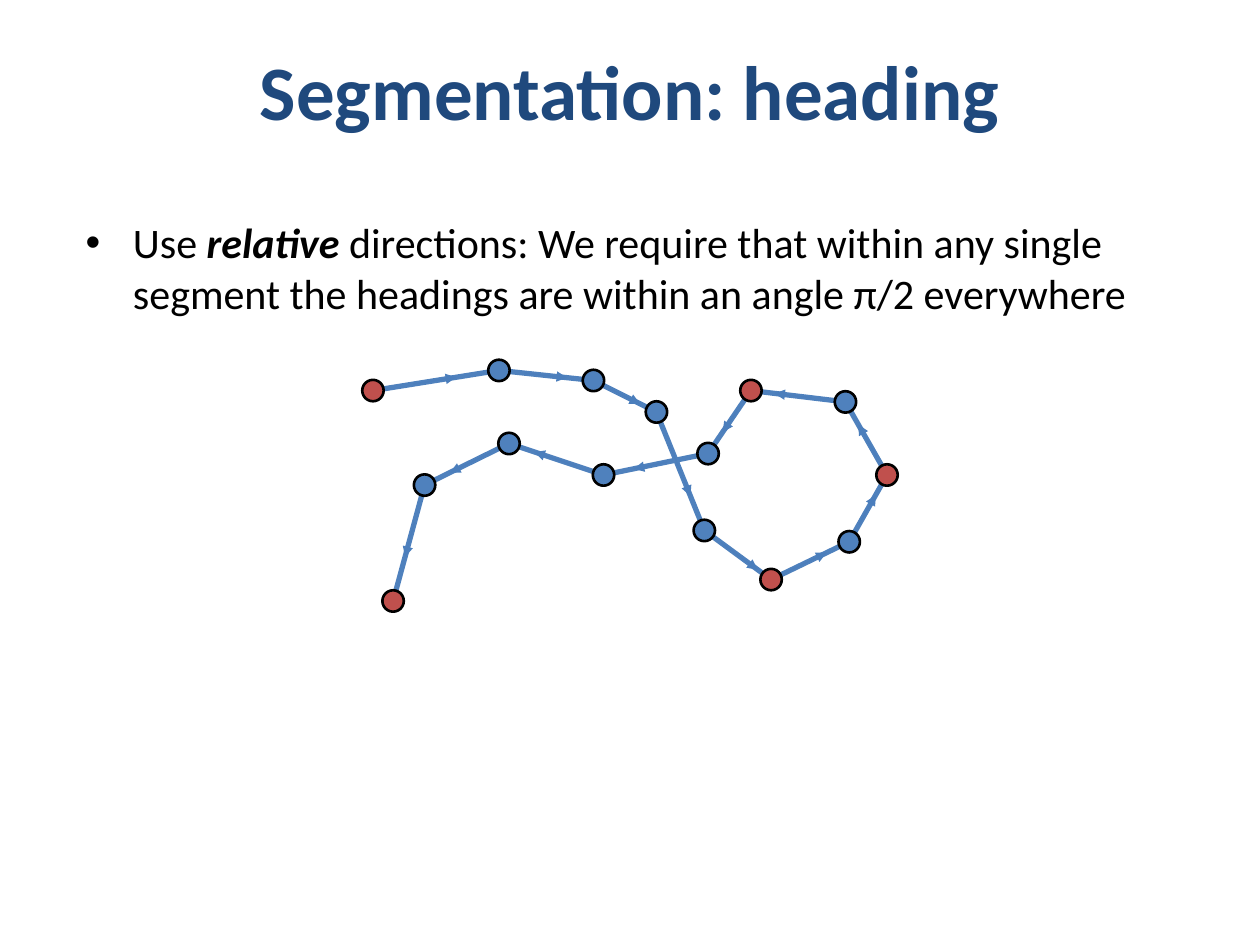
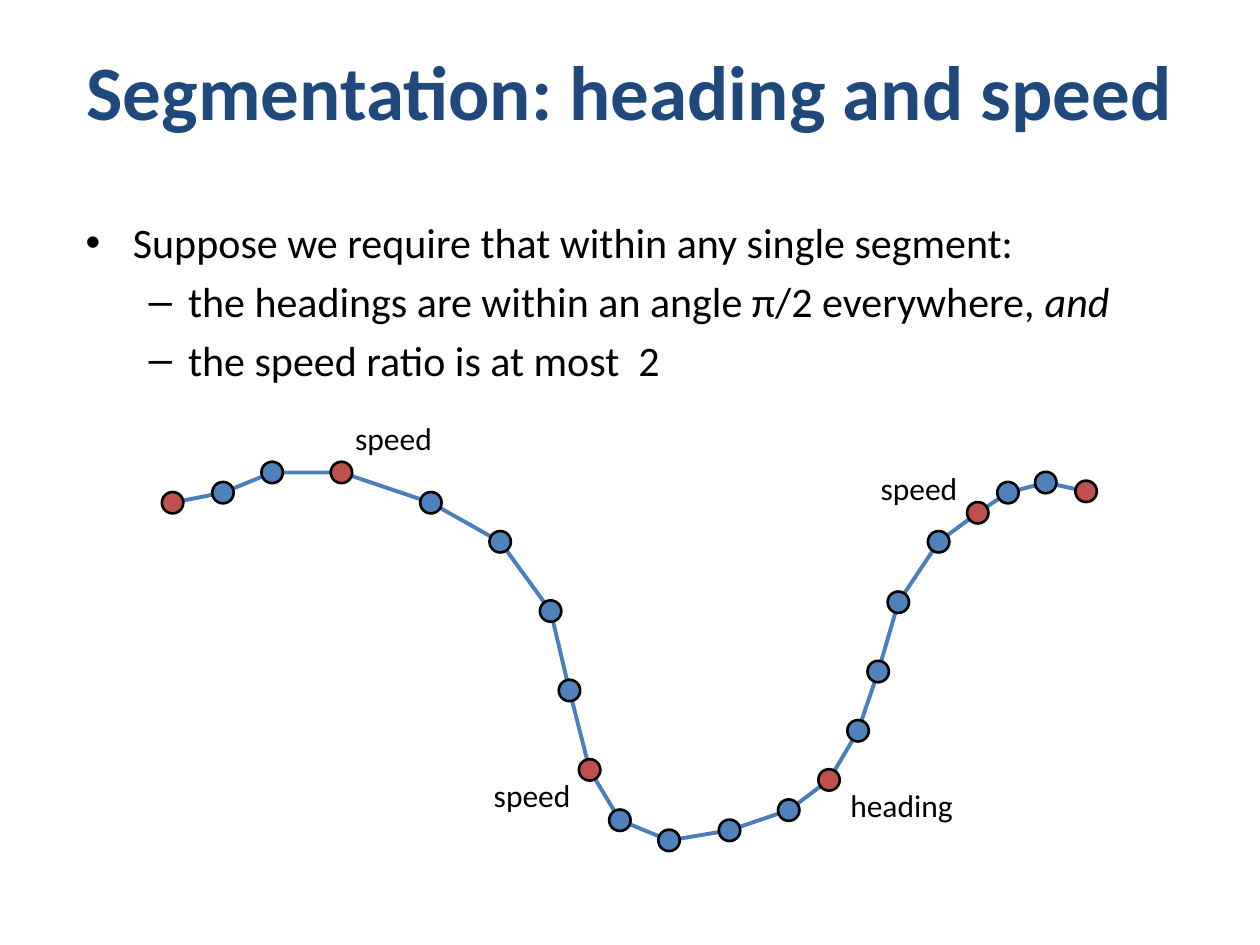
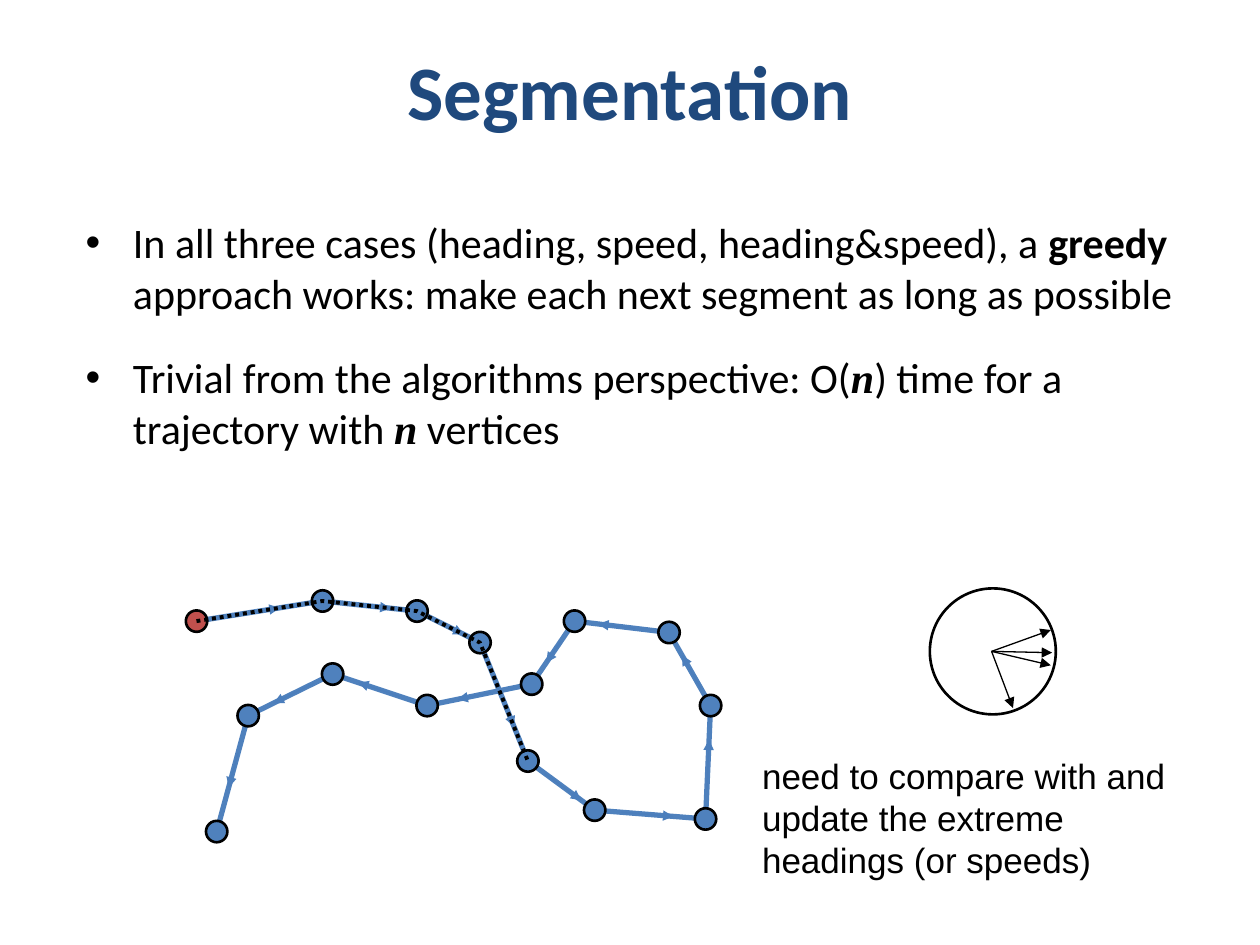
from dataclasses import dataclass, replace
from typing import NamedTuple

from lxml.etree import SubElement
from pptx import Presentation
from pptx.dml.color import RGBColor
from pptx.enum.dml import MSO_LINE
from pptx.enum.shapes import MSO_CONNECTOR, MSO_SHAPE
from pptx.enum.text import MSO_ANCHOR, MSO_AUTO_SIZE, PP_ALIGN
from pptx.oxml.ns import qn
from pptx.shapes.autoshape import Shape
from pptx.slide import Slide
from pptx.text.text import _Paragraph as Paragraph
from pptx.util import Inches, Pt

COLORS = {
    "title": "1F497D",
    "text": "000000",
    "outline": "000000",
    "track": "4F81BD",
    "thin": "4B7EBC",
    "vertex": "4F81BD",
    "break": "C0504D",
}
FONT = "Calibri"
MATH_FONT = "Times New Roman"
DOT_SIZE = 0.17


class Point(NamedTuple):
    """A place on the slide in inches."""

    x: float
    y: float


class Run(NamedTuple):
    """A piece of text with its own character format."""

    text: str
    bold: bool = False
    italic: bool = False
    font: str = FONT


class Bullet(NamedTuple):
    """A list item with its level and the space above it in points."""

    runs: list[Run]
    level: int = 0
    space_before: float = 4.8


class Label(NamedTuple):
    """A text box with its place and format."""

    text: str
    left: float
    top: float
    width: float
    height: float = 0.4
    size: int = 18
    font: str = FONT
    wrap: bool = False


@dataclass(frozen=True)
class Vertex:
    """A trajectory vertex and the span of the arrow on the edge that leaves it."""

    place: Point
    arrow: tuple[float, float] | None = None
    is_break: bool = False


def vertex(x: float, y: float, is_break: bool = False,
           arrow: tuple[float, float] | None = None) -> Vertex:
    """Make a vertex from its coordinates."""
    return Vertex(Point(x, y), arrow, is_break)


LOOP = [
    vertex(2.96, 3.1, True, (0.32, 0.66)),
    vertex(3.96, 2.94, False, (0.27, 0.72)),
    vertex(4.71, 3.02, False, (0.26, 0.74)),
    vertex(5.21, 3.27, False, (0.28, 0.71)),
    vertex(5.59, 4.21, False, (0.25, 0.8)),
    vertex(6.12, 4.6, True, (0.24, 0.71)),
    vertex(6.74, 4.3, False, (0.26, 0.7)),
    vertex(7.04, 3.77, True, (0.24, 0.69)),
    vertex(6.71, 3.19, False, (0.36, 0.75)),
    vertex(5.96, 3.1, True, (0.32, 0.66)),
    vertex(5.62, 3.6, False, (0.39, 0.71)),
    vertex(4.79, 3.77, False, (0.29, 0.73)),
    vertex(4.04, 3.52, False, (0.22, 0.7)),
    vertex(3.37, 3.85, False, (0.32, 0.62)),
    vertex(3.12, 4.77, True),
]
LOOP_SHIFT = Point(-1.4, 1.83)
LOOP_CORNER = 6
LOOP_CORNER_PLACE = Point(5.6, 6.5)
GREEDY_VERTICES = 5

VALLEY = [
    vertex(1.37, 3.99, True), vertex(1.77, 3.91), vertex(2.16, 3.75),
    vertex(2.71, 3.75, True), vertex(3.42, 3.99), vertex(3.97, 4.3),
    vertex(4.37, 4.85), vertex(4.52, 5.48), vertex(4.68, 6.11, True),
    vertex(4.92, 6.51), vertex(5.31, 6.67), vertex(5.79, 6.59),
    vertex(6.26, 6.43), vertex(6.58, 6.19, True), vertex(6.81, 5.8),
    vertex(6.97, 5.33), vertex(7.13, 4.78), vertex(7.45, 4.3),
    vertex(7.76, 4.07, True), vertex(8, 3.91), vertex(8.3, 3.83),
    vertex(8.62, 3.9, True),
]
VALLEY_LABELS = [
    Label("speed", 6.89, 3.67, 0.82),
    Label("speed", 2.72, 3.28, 0.82),
    Label("speed", 3.82, 6.11, 0.82),
    Label("heading", 6.65, 6.19, 1.02),
]

COMPASS_CENTER = Point(7.88, 5.17)
COMPASS_SIZE = 1.0
HEADING_ORIGIN = Point(7.87, 5.17)
HEADING_TIPS = [Point(8.34, 5), Point(8.35, 5.18), Point(8.34, 5.28), Point(8.04, 5.62)]
UPDATE_NOTE = Label(
    "need to compare with and update the extreme headings (or speeds)",
    5.95, 5.94, 3.8, 1.1, 20, "Arial", True,
)


def rgb(name: str) -> RGBColor:
    """Look up a colour."""
    return RGBColor.from_string(COLORS[name])


def place_shape(shape: Shape, left: float, top: float, width: float, height: float) -> None:
    """Move and size a shape in inches."""
    shape.left, shape.top = Inches(left), Inches(top)
    shape.width, shape.height = Inches(width), Inches(height)


def add_run(paragraph: Paragraph, content: Run, size: int, color: str = "text") -> None:
    """Append a formatted run."""
    run = paragraph.add_run()
    run.text = content.text
    run.font.name = content.font
    run.font.size = Pt(size)
    run.font.bold = content.bold
    run.font.italic = content.italic
    run.font.color.rgb = rgb(color)


def add_list_slide(presentation: Presentation, title: str, bullets: list[Bullet],
                   body_height: float) -> Slide:
    """Add a slide with a title and a bulleted list."""
    slide = presentation.slides.add_slide(presentation.slide_layouts[1])
    heading, body = slide.shapes.title, slide.placeholders[1]
    place_shape(heading, 0.5, 0.3, 9, 0.83)
    heading.text_frame.vertical_anchor = MSO_ANCHOR.MIDDLE
    heading.text_frame.auto_size = MSO_AUTO_SIZE.NONE
    paragraph = heading.text_frame.paragraphs[0]
    paragraph.alignment = PP_ALIGN.CENTER
    add_run(paragraph, Run(title, bold=True), 44, "title")

    place_shape(body, 0.58, 1.67, 9, body_height)
    frame = body.text_frame
    frame.auto_size = MSO_AUTO_SIZE.NONE
    for index, bullet in enumerate(bullets):
        paragraph = frame.add_paragraph() if index else frame.paragraphs[0]
        paragraph.level = bullet.level
        paragraph.space_before = Pt(bullet.space_before if index else 0)
        for content in bullet.runs:
            add_run(paragraph, content, 24)
    return slide


def add_label(slide: Slide, label: Label) -> None:
    """Add a text box."""
    box = slide.shapes.add_textbox(
        Inches(label.left), Inches(label.top), Inches(label.width), Inches(label.height))
    box.text_frame.word_wrap = label.wrap
    box.text_frame.auto_size = MSO_AUTO_SIZE.SHAPE_TO_FIT_TEXT
    add_run(box.text_frame.paragraphs[0], Run(label.text, font=label.font), label.size)


def add_circle(slide: Slide, center: Point, size: float, fill: str | None = None) -> None:
    """Add an outlined circle around a centre."""
    circle = slide.shapes.add_shape(
        MSO_SHAPE.OVAL, Inches(center.x - size / 2), Inches(center.y - size / 2),
        Inches(size), Inches(size))
    circle.shadow.inherit = False
    if fill:
        circle.fill.solid()
        circle.fill.fore_color.rgb = rgb(fill)
    else:
        circle.fill.background()
    circle.line.color.rgb = rgb("outline")
    circle.line.width = Pt(1.5)


def add_polyline(slide: Slide, points: list[Point], color: str, width: float,
                 dotted: bool = False) -> None:
    """Add an open outline through the points."""
    corners = [(Inches(point.x), Inches(point.y)) for point in points]
    builder = slide.shapes.build_freeform(*corners[0])
    builder.add_line_segments(corners[1:], close=False)
    shape = builder.convert_to_shape()
    shape.shadow.inherit = False
    shape.fill.background()
    shape.line.color.rgb = rgb(color)
    shape.line.width = Pt(width)
    if dotted:
        shape.line.dash_style = MSO_LINE.ROUND_DOT


def add_arrow(slide: Slide, start: Point, end: Point, color: str) -> None:
    """Add a thin straight arrow."""
    arrow = slide.shapes.add_connector(
        MSO_CONNECTOR.STRAIGHT, Inches(start.x), Inches(start.y), Inches(end.x), Inches(end.y))
    arrow.line.color.rgb = rgb(color)
    arrow.line.width = Pt(0.75)
    properties = arrow.element.spPr
    SubElement(properties.find(qn("a:ln")), qn("a:tailEnd"), type="triangle")
    SubElement(properties, qn("a:effectLst"))


def point_between(start: Point, end: Point, fraction: float) -> Point:
    """Find the point at a fraction of the way."""
    return Point(start.x + (end.x - start.x) * fraction, start.y + (end.y - start.y) * fraction)


def add_trajectory(slide: Slide, vertices: list[Vertex], color: str, width: float) -> None:
    """Draw a trajectory with its vertices and direction arrows."""
    add_polyline(slide, [item.place for item in vertices], color, width)
    for item in vertices:
        add_circle(slide, item.place, DOT_SIZE, "break" if item.is_break else "vertex")
    for item, following in zip(vertices, vertices[1:]):
        if item.arrow:
            start, end = (point_between(item.place, following.place, part) for part in item.arrow)
            add_arrow(slide, start, end, "thin")


def shifted_loop() -> list[Vertex]:
    """Return the loop moved down, with one corner widened and only its start marked."""
    vertices = [
        replace(item, is_break=index == 0,
                place=Point(item.place.x + LOOP_SHIFT.x, item.place.y + LOOP_SHIFT.y))
        for index, item in enumerate(LOOP)
    ]
    vertices[LOOP_CORNER] = replace(vertices[LOOP_CORNER], place=LOOP_CORNER_PLACE)
    return vertices


def build_heading(presentation: Presentation) -> None:
    """Build the slide on segmentation by heading."""
    slide = add_list_slide(presentation, "Segmentation: heading", [
        Bullet([
            Run("Use "), Run("relative", bold=True, italic=True),
            Run(" directions: We require that within any single segment "
                "the headings are within an angle π/2 everywhere"),
        ]),
    ], 1.42)
    add_trajectory(slide, LOOP, "track", 3)


def build_heading_and_speed(presentation: Presentation) -> None:
    """Build the slide on segmentation by heading and speed."""
    slide = add_list_slide(presentation, "Segmentation: heading and speed", [
        Bullet([Run("Suppose we require that within any single segment:")]),
        Bullet([Run("the headings are within an angle π/2 everywhere, "),
                Run("and", italic=True)], 1),
        Bullet([Run("the speed ratio is at most  2")], 1),
    ], 1.73)
    add_trajectory(slide, VALLEY, "thin", 2.25)
    for label in VALLEY_LABELS:
        add_label(slide, label)


def build_greedy(presentation: Presentation) -> None:
    """Build the slide on the greedy approach."""
    variable = Run("n", True, True, MATH_FONT)
    slide = add_list_slide(presentation, "Segmentation", [
        Bullet([
            Run("In all three cases (heading, speed, heading&speed), a "),
            Run("greedy", bold=True),
            Run(" approach works: make each next segment as long as possible"),
        ]),
        Bullet([
            Run("Trivial from the algorithms perspective: O("), variable,
            Run(") time for a trajectory with "), variable, Run(" vertices"),
        ], space_before=19.5),
    ], 2.36)
    vertices = shifted_loop()
    add_trajectory(slide, vertices, "track", 3)
    add_circle(slide, COMPASS_CENTER, COMPASS_SIZE)
    for tip in HEADING_TIPS:
        add_arrow(slide, HEADING_ORIGIN, tip, "outline")
    add_label(slide, UPDATE_NOTE)
    greedy_points = [item.place for item in vertices[:GREEDY_VERTICES]]
    add_polyline(slide, greedy_points, "outline", 2.25, dotted=True)


def main() -> None:
    """Build and save the presentation."""
    presentation = Presentation()
    presentation.slide_width, presentation.slide_height = Inches(10), Inches(7.5)
    build_heading(presentation)
    build_heading_and_speed(presentation)
    build_greedy(presentation)
    presentation.save("out.pptx")


if __name__ == "__main__":
    main()
